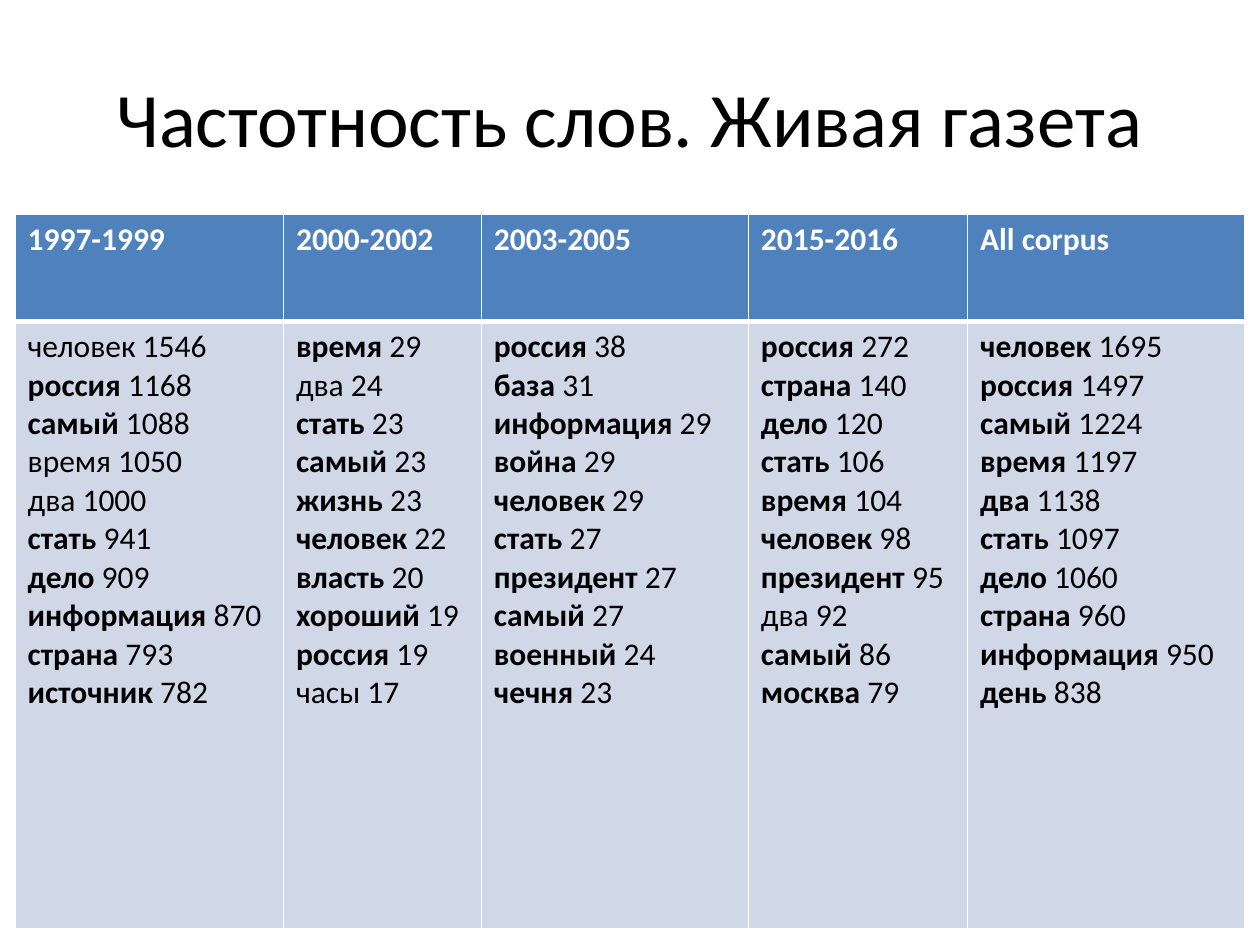
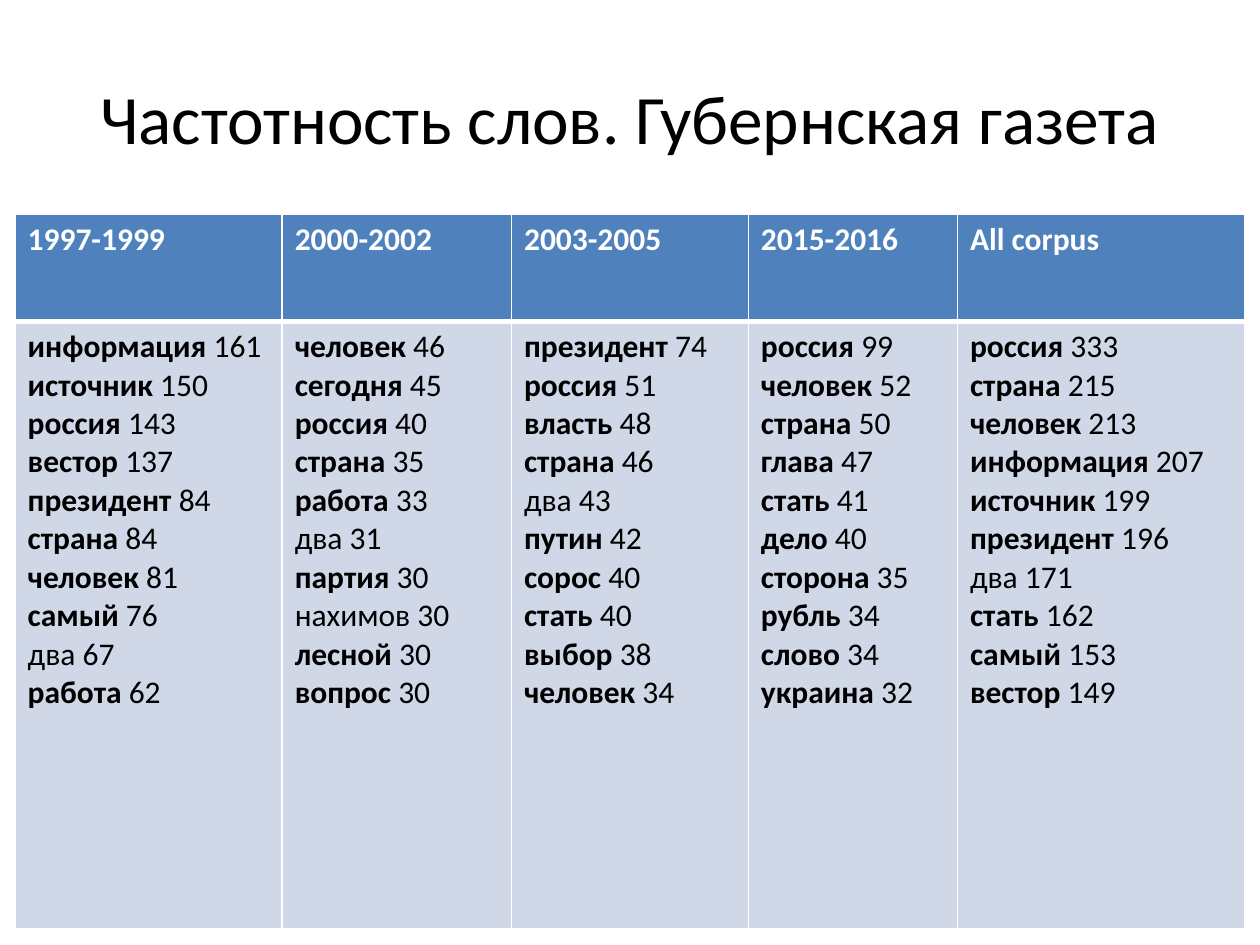
from dataclasses import dataclass

from lxml.etree import SubElement as Sub
from pptx import Presentation
from pptx.dml.color import RGBColor as Rgb
from pptx.enum.text import MSO_ANCHOR as Anchor, MSO_AUTO_SIZE as Fit, PP_ALIGN as Align
from pptx.oxml.ns import qn
from pptx.util import Inches, Pt


@dataclass(frozen=True)
class Theme:
    """Colours, font and type sizes of the deck."""
    font: str = "Calibri"
    ink: str = "000000"
    white: str = "FFFFFF"
    head: str = "4F81BD"
    body: str = "D0D8E8"
    text: float = 18
    thin: float = 1
    thick: float = 3


THEME = Theme()
TITLE_BOX = (0.5, 0.3, 9, 1.25)
TABLE_BOX = (0.12, 1.7, 9.76, 5.67)
HEAD_HIGH = 0.85
PLAIN = "~"
YEARS = ("1997-1999", "2000-2002", "2003-2005", "2015-2016", "All corpus")

PAPERS = (
    ("Частотность слов. Живая газета", 44, (2.13, 1.57, 2.12, 1.74, 2.2), (
        "~человек 1546, россия 1168, самый 1088, ~время 1050, ~два 1000, "
        "стать 941, дело 909, информация 870, страна 793, источник 782",
        "время 29, ~два 24, стать 23, самый 23, жизнь 23, "
        "человек 22, власть 20, хороший 19, россия 19, ~часы 17",
        "россия 38, база 31, информация 29, война 29, человек 29, "
        "стать 27, президент 27, самый 27, военный 24, чечня 23",
        "россия 272, страна 140, дело 120, стать 106, время 104, "
        "человек 98, президент 95, ~два 92, самый 86, москва 79",
        "человек 1695, россия 1497, самый 1224, время 1197, два 1138, "
        "стать 1097, дело 1060, страна 960, информация 950, день 838",
    )),
    ("Частотность слов. Губернская газета", 39.6, (2.12, 1.82, 1.88, 1.66, 2.28), (
        "информация 161, источник 150, россия 143, вестор 137, президент 84, "
        "страна 84, человек 81, самый 76, ~два 67, работа 62",
        "человек 46, сегодня 45, россия 40, страна 35, работа 33, "
        "~два 31, партия 30, ~нахимов 30, лесной 30, вопрос 30",
        "президент 74, россия 51, власть 48, страна 46, ~два 43, "
        "путин 42, сорос 40, стать 40, выбор 38, человек 34",
        "россия 99, человек 52, страна 50, глава 47, стать 41, "
        "дело 40, сторона 35, рубль 34, слово 34, украина 32",
        "россия 333, страна 215, человек 213, информация 207, источник 199, "
        "президент 196, ~два 171, стать 162, самый 153, вестор 149",
    )),
)


def assign(item, **values):
    """Set attributes of an object from format values."""
    for name, value in values.items():
        setattr(item, name, value)


def add_run(para, text, size, color, bold=False):
    """Add a run of text in the theme font."""
    run = para.add_run()
    run.text = text
    assign(run.font, name=THEME.font, size=Pt(size), bold=bold)
    run.font.color.rgb = Rgb.from_string(color)


def add_edges(cell, **widths):
    """Draw white cell borders of the given widths."""
    props = cell._tc.get_or_add_tcPr()
    for side, width in widths.items():
        line = Sub(props, qn(f"a:ln{side}"), w=str(Pt(width)))
        Sub(Sub(line, qn("a:solidFill")), qn("a:srgbClr"), val=THEME.white)


def paint(cell, color, top, low):
    """Give a cell its borders and fill."""
    add_edges(cell, L=THEME.thin, R=THEME.thin, T=top, B=low)
    cell.fill.solid()
    cell.fill.fore_color.rgb = Rgb.from_string(color)


def add_title(slide, box, text, size):
    """Fill the title placeholder within a box."""
    title = slide.shapes.title
    assign(title, **dict(zip(("left", "top", "width", "height"), map(Inches, box))))
    frame = title.text_frame
    assign(frame, auto_size=Fit.NONE, word_wrap=True, vertical_anchor=Anchor.MIDDLE)
    frame.paragraphs[0].alignment = Align.CENTER
    add_run(frame.paragraphs[0], text, size, THEME.ink)


def fill_head(cell, years):
    """Write a header cell."""
    paint(cell, THEME.head, THEME.thin, THEME.thick)
    add_run(cell.text_frame.paragraphs[0], years, THEME.text, THEME.white, True)


def fill_words(cell, words):
    """List words with their counts, one to a paragraph."""
    paint(cell, THEME.body, THEME.thick, THEME.thin)
    frame = cell.text_frame
    for index, entry in enumerate(words.split(", ")):
        para = frame.add_paragraph() if index else frame.paragraphs[0]
        word, count = entry.removeprefix(PLAIN).split()
        add_run(para, word, THEME.text, THEME.ink, not entry.startswith(PLAIN))
        add_run(para, f" {count}", THEME.text, THEME.ink)


def add_words(slide, box, widths, lists):
    """Place the table of frequent words by period."""
    table = slide.shapes.add_table(2, len(YEARS), *map(Inches, box)).table
    for row, high in zip(table.rows, (HEAD_HIGH, box[3] - HEAD_HIGH)):
        row.height = Inches(high)
    for index, (width, years, words) in enumerate(zip(widths, YEARS, lists)):
        table.columns[index].width = Inches(width)
        fill_head(table.cell(0, index), years)
        fill_words(table.cell(1, index), words)


def add_paper(deck, title, size, widths, lists):
    """Build the slide of one newspaper."""
    slide = deck.slides.add_slide(deck.slide_layouts[5])
    add_title(slide, TITLE_BOX, title, size)
    add_words(slide, TABLE_BOX, widths, lists)


def main():
    """Build and save the deck."""
    deck = Presentation()
    assign(deck, slide_width=Inches(10), slide_height=Inches(7.5))
    for paper in PAPERS:
        add_paper(deck, *paper)
    deck.save("out.pptx")


if __name__ == "__main__":
    main()
